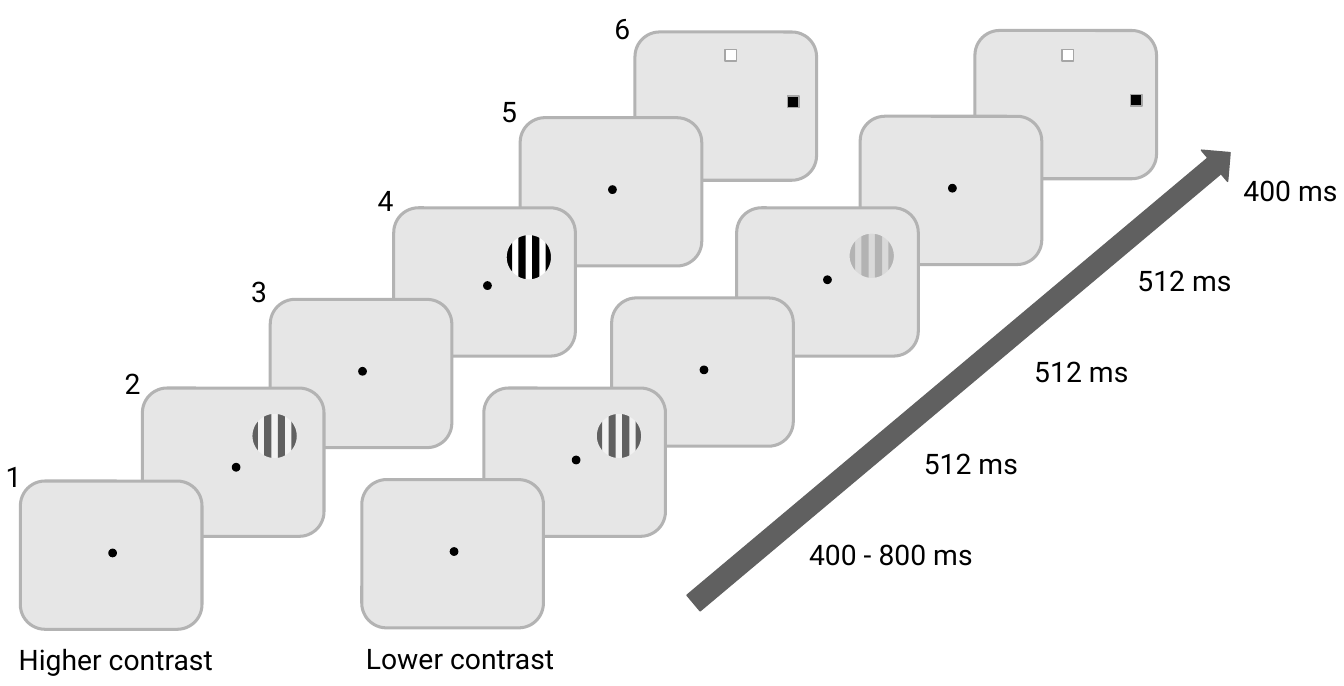
from dataclasses import dataclass

import pptx
import pptx.dml.color
import pptx.enum.shapes
import pptx.enum.text
import pptx.shapes.autoshape
import pptx.slide
import pptx.util

Inches = pptx.util.Inches
SHAPES = pptx.enum.shapes.MSO_SHAPE
COLOURS = {
    "screen": "E6E6E6",
    "screen_edge": "B3B3B3",
    "target_edge": "A6A6A6",
    "black": "000000",
    "white": "FFFFFF",
    "dark_grey": "606060",
    "light_grey": "F2F2F2",
    "mid_grey": "D9D9D9",
}
FONT_NAME = "Roboto"
SCREEN_WIDTH, SCREEN_HEIGHT = 1.25, 1.02
DOT_SIZE = 0.05
TARGET_SIZE = 0.08
RING_SIZE = 0.61
PATCH_SIZE = 0.31
STRIPE_WIDTH = 0.05
STRIPE_COUNT = 4
STRIPE_SPREAD = 0.28


@dataclass(frozen=True)
class Grating:
    x: float
    y: float
    stripe: str
    backdrop: str
    backdrop_shift: float = 0


@dataclass(frozen=True)
class Target:
    x: float
    y: float
    colour: str


@dataclass(frozen=True)
class Screen:
    left: float
    top: float
    dot: tuple[float, float] | None = (0.61, 0.47)
    grating: Grating | None = None
    targets: tuple[Target, ...] = ()


@dataclass(frozen=True)
class Label:
    text: str
    left: float
    top: float
    width: float


SCREENS = [
    Screen(4.37, 0.22, None, targets=(Target(0.62, 0.12, "white"), Target(1.05, 0.44, "black"))),
    Screen(3.58, 0.81),
    Screen(2.71, 1.43, (0.62, 0.51), Grating(0.93, 0.34, "black", "white", -0.02)),
    Screen(1.86, 2.06),
    Screen(0.98, 2.67, (0.62, 0.52), Grating(0.91, 0.33, "dark_grey", "light_grey", 0.04)),
    Screen(0.14, 3.31),
    Screen(6.71, 0.21, None, targets=(Target(0.6, 0.13, "white"), Target(1.07, 0.44, "black"))),
    Screen(5.92, 0.8),
    Screen(5.07, 1.43, (0.6, 0.47), Grating(0.93, 0.33, "screen_edge", "mid_grey")),
    Screen(4.21, 2.05),
    Screen(3.33, 2.67, (0.61, 0.47), Grating(0.93, 0.33, "dark_grey", "light_grey", 0.03)),
    Screen(2.49, 3.3),
]

NUMBER_WIDTH = 0.31
DURATION_WIDTH = 0.86
LABELS = [
    Label("1", -0.06, 3.11, NUMBER_WIDTH),
    Label("2", 0.76, 2.47, NUMBER_WIDTH),
    Label("3", 1.63, 1.84, NUMBER_WIDTH),
    Label("4", 2.5, 1.21, NUMBER_WIDTH),
    Label("5", 3.35, 0.6, NUMBER_WIDTH),
    Label("6", 4.13, 0.03, NUMBER_WIDTH),
    Label("400 - 800 ms", 5.47, 3.65, 1.36),
    Label("512 ms", 6.26, 3.02, DURATION_WIDTH),
    Label("512 ms", 7.02, 2.39, DURATION_WIDTH),
    Label("512 ms", 7.73, 1.76, DURATION_WIDTH),
    Label("400 ms", 8.46, 1.14, DURATION_WIDTH),
    Label("Higher contrast", 0.03, 4.37, 1.63),
    Label("Lower contrast", 2.42, 4.36, 1.56),
]


def rgb(name: str) -> pptx.dml.color.RGBColor:
    return pptx.dml.color.RGBColor.from_string(COLOURS[name])


def add_figure(
    slide: pptx.slide.Slide,
    kind: SHAPES,
    left: float,
    top: float,
    width: float,
    height: float,
    fill: str,
    line: str | None = None,
    line_width: float = 0.75,
) -> pptx.shapes.autoshape.Shape:
    shape = slide.shapes.add_shape(kind, Inches(left), Inches(top), Inches(width), Inches(height))
    shape.shadow.inherit = False
    shape.fill.solid()
    shape.fill.fore_color.rgb = rgb(fill)
    if line is None:
        shape.line.fill.background()
    else:
        shape.line.color.rgb = rgb(line)
        shape.line.width = pptx.util.Pt(line_width)
    return shape


def add_grating(slide: pptx.slide.Slide, grating: Grating, left: float, top: float) -> None:
    centre_x, centre_y = left + grating.x, top + grating.y
    patch_top = centre_y - PATCH_SIZE / 2
    backdrop_left = centre_x + grating.backdrop_shift - PATCH_SIZE / 2
    add_figure(slide, SHAPES.RECTANGLE, backdrop_left, patch_top, PATCH_SIZE, PATCH_SIZE, grating.backdrop)
    for index in range(STRIPE_COUNT):
        offset = STRIPE_SPREAD * (index / (STRIPE_COUNT - 1) - 0.5)
        stripe_left = centre_x + offset - STRIPE_WIDTH / 2
        add_figure(slide, SHAPES.RECTANGLE, stripe_left, patch_top, STRIPE_WIDTH, PATCH_SIZE, grating.stripe)
    ring_left, ring_top = centre_x - RING_SIZE / 2, centre_y - RING_SIZE / 2
    ring = add_figure(slide, SHAPES.DONUT, ring_left, ring_top, RING_SIZE, RING_SIZE, "screen")
    ring.adjustments[0] = 0.25


def add_screen(slide: pptx.slide.Slide, screen: Screen) -> None:
    left, top = screen.left, screen.top
    add_figure(
        slide, SHAPES.ROUNDED_RECTANGLE, left, top, SCREEN_WIDTH, SCREEN_HEIGHT, "screen", "screen_edge", 1.5
    )
    if screen.grating:
        add_grating(slide, screen.grating, left, top)
    if screen.dot:
        dot_x, dot_y = screen.dot
        add_figure(slide, SHAPES.OVAL, left + dot_x, top + dot_y, DOT_SIZE, DOT_SIZE, "black", "black")
    for target in screen.targets:
        add_figure(
            slide, SHAPES.RECTANGLE, left + target.x, top + target.y,
            TARGET_SIZE, TARGET_SIZE, target.colour, "target_edge",
        )


def add_label(slide: pptx.slide.Slide, label: Label) -> None:
    shape = slide.shapes.add_textbox(
        Inches(label.left), Inches(label.top), Inches(label.width), Inches(0.34)
    )
    text_frame = shape.text_frame
    text_frame.text = label.text
    text_frame.word_wrap = False
    text_frame.auto_size = pptx.enum.text.MSO_AUTO_SIZE.SHAPE_TO_FIT_TEXT
    font = text_frame.paragraphs[0].runs[0].font
    font.name = FONT_NAME
    font.size = pptx.util.Pt(14)
    font.color.rgb = rgb("black")


def main() -> None:
    presentation = pptx.Presentation()
    presentation.slide_width = Inches(9.25)
    presentation.slide_height = Inches(4.72)
    slide = presentation.slides.add_slide(presentation.slide_layouts[6])
    for screen in SCREENS:
        add_screen(slide, screen)
    time_arrow = add_figure(slide, SHAPES.UP_ARROW, 6.48, 0.19, 0.28, 4.82, "dark_grey", "dark_grey")
    time_arrow.rotation = 50
    for label in LABELS:
        add_label(slide, label)
    presentation.save("out.pptx")


if __name__ == "__main__":
    main()
